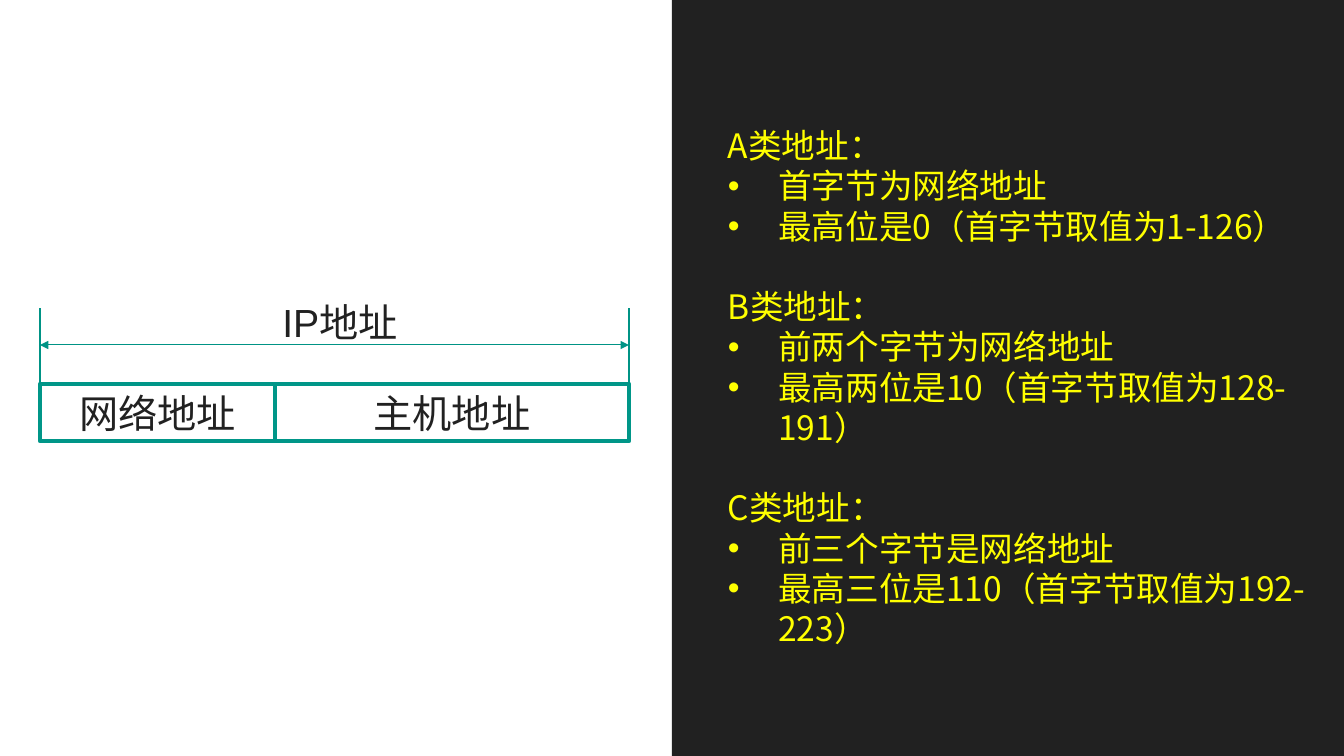
from lxml import etree
from pptx import Presentation
from pptx import util as u
from pptx.dml.color import RGBColor
from pptx.enum import shapes, text
from pptx.oxml.ns import qn

CLASSES = [
    ("A类地址：", ["首字节为网络地址", "最高位是0（首字节取值为1-126）"]),
    ("B类地址：", ["前两个字节为网络地址", "最高两位是10（首字节取值为128-191）"]),
    ("C类地址：", ["前三个字节是网络地址", "最高三位是110（首字节取值为192-223）"]),
]
FIELDS = [("网络地址", 235), ("主机地址", 354)]
COLORS = {"panel": "212121", "ink": "212121", "notes": "FFFF00",
          "frame": "009688", "rule": "009385"}
PX = 914400 / 100.8
WIDTH, HEIGHT = 1344, 756
LEFT, FIELD_TOP, FIELD_HEIGHT = 40, 384, 57
RIGHT = LEFT + sum(width for _, width in FIELDS)
TICK_TOP, ARROW_Y = 308, 345
LINE_PITCH = 40


def px(value):
    return round(value * PX)


def rgb(name):
    return RGBColor.from_string(COLORS[name])


def style(para, size, font, color):
    para.font.size = u.Pt(size)
    para.font.name = font
    para.font.color.rgb = rgb(color)


def add_box(page, left, top, width, height):
    box = page.shapes.add_shape(shapes.MSO_SHAPE.RECTANGLE,
                                px(left), px(top), px(width), px(height))
    box.shadow.inherit = False
    return box


def label(box, words):
    frame = box.text_frame
    frame.word_wrap = True
    frame.vertical_anchor = text.MSO_ANCHOR.MIDDLE
    para = frame.paragraphs[0]
    para.text = words
    para.alignment = text.PP_ALIGN.CENTER
    style(para, 28, "Arial", "ink")


def add_rule(page, start, end, weight, arrows=False):
    rule = page.shapes.add_connector(shapes.MSO_CONNECTOR.STRAIGHT,
                                     *map(px, start + end))
    rule.line.color.rgb = rgb("rule")
    rule.line.width = u.Pt(weight)
    if arrows:
        for tag in ("a:headEnd", "a:tailEnd"):
            etree.SubElement(rule.line._get_or_add_ln(), qn(tag), type="triangle")
    etree.SubElement(rule._element.spPr, qn("a:effectLst"))


def add_bullet(para):
    props = para._p.get_or_add_pPr()
    props.set("marL", str(u.Inches(0.5)))
    props.set("indent", str(-u.Inches(0.5)))
    etree.SubElement(props, qn("a:buFont"), typeface="Arial")
    etree.SubElement(props, qn("a:buChar"), char="•")


def add_notes(page):
    box = page.shapes.add_textbox(px(715), px(112), px(629), px(233))
    frame = box.text_frame
    frame.word_wrap = True
    frame.margin_left = frame.margin_right = px(13)
    frame.margin_top = frame.margin_bottom = px(13)
    lines = [(line, line == heading) for heading, facts in CLASSES
             for line in [heading] + facts]
    for index, (line, is_heading) in enumerate(lines):
        para = frame.add_paragraph() if index else frame.paragraphs[0]
        para.text = line
        if not is_heading:
            add_bullet(para)
        elif index:
            para.space_before = px(LINE_PITCH)
        style(para, 24, "Noto Sans CJK SC", "notes")


def main():
    deck = Presentation()
    deck.slide_width, deck.slide_height = px(WIDTH), px(HEIGHT)
    page = deck.slides.add_slide(deck.slide_layouts[6])

    panel = add_box(page, WIDTH // 2, 0, WIDTH // 2, HEIGHT)
    panel.fill.solid()
    panel.fill.fore_color.rgb = rgb("panel")
    panel.line.fill.background()
    add_notes(page)

    left = LEFT
    for words, width in FIELDS:
        field = add_box(page, left, FIELD_TOP, width, FIELD_HEIGHT)
        field.fill.background()
        field.line.color.rgb = rgb("frame")
        field.line.width = u.Pt(3.25)
        label(field, words)
        left += width

    for x in (LEFT, RIGHT):
        add_rule(page, (x, FIELD_TOP), (x, TICK_TOP), 1.5)
    add_rule(page, (LEFT, ARROW_Y), (RIGHT, ARROW_Y), 0.75, arrows=True)
    label(page.shapes.add_textbox(px(158), px(293), px(364), px(57)), "IP地址")

    deck.save("out.pptx")


if __name__ == "__main__":
    main()
